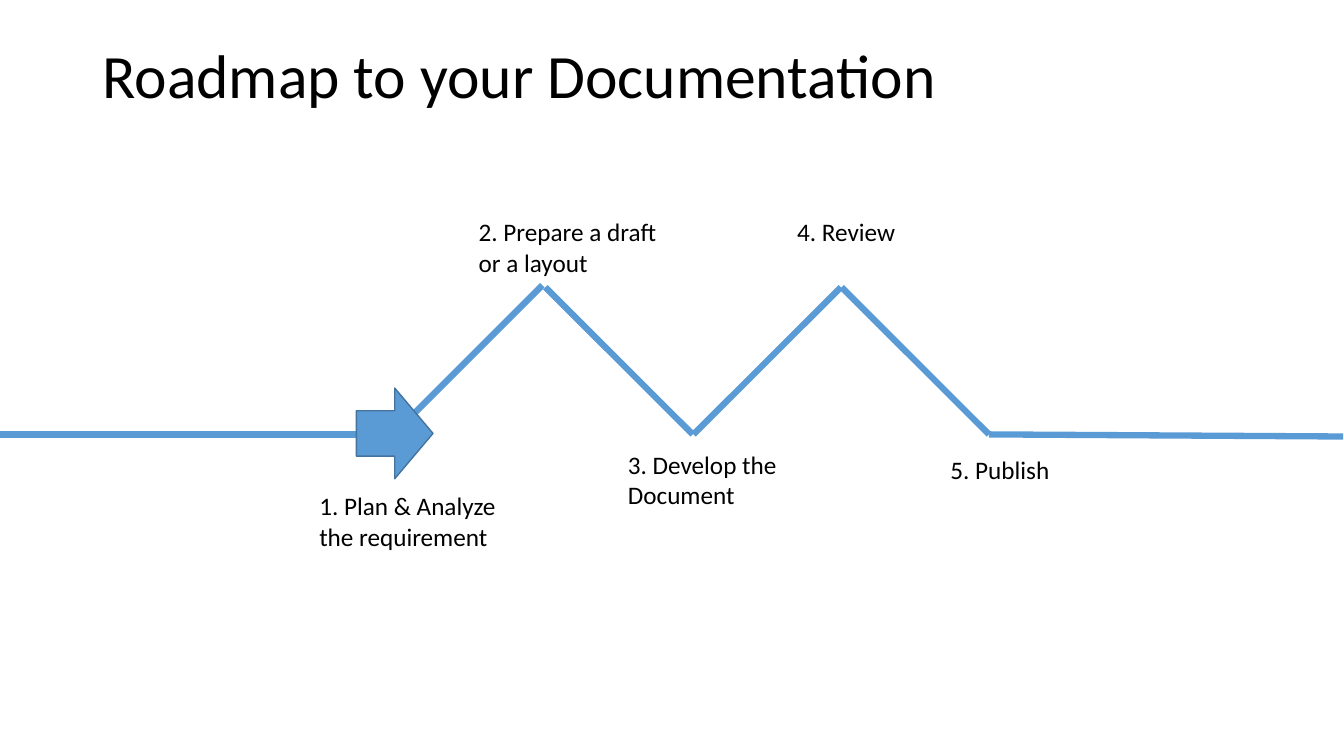
from dataclasses import dataclass

from lxml import etree
from pptx import Presentation
from pptx.dml.color import RGBColor
from pptx.enum.shapes import MSO_CONNECTOR, MSO_SHAPE
from pptx.enum.text import MSO_ANCHOR, MSO_AUTO_SIZE, PP_ALIGN
from pptx.oxml.ns import qn
from pptx.util import Pt

STRAIGHT = MSO_CONNECTOR.STRAIGHT
RIGHT_ARROW = MSO_SHAPE.RIGHT_ARROW
TOP = MSO_ANCHOR.TOP
LEFT = PP_ALIGN.LEFT
NO_AUTO_SIZE, GROW = MSO_AUTO_SIZE.NONE, MSO_AUTO_SIZE.SHAPE_TO_FIT_TEXT


@dataclass(frozen=True)
class Theme:
    font: str = "Calibri"
    title_size: int = 44
    label_size: int = 18
    text: RGBColor = RGBColor(0x00, 0x00, 0x00)
    road: RGBColor = RGBColor(0x5B, 0x9B, 0xD5)
    outline: RGBColor = RGBColor(0x43, 0x73, 0x9E)


theme = Theme()


def set_text(sp, text, size=theme.label_size, spacing=None, wrap=True, auto_size=GROW):
    tf = sp.text_frame
    tf.word_wrap = wrap
    tf.auto_size = auto_size
    tf.vertical_anchor = TOP
    p = tf.paragraphs[0]
    p.alignment = LEFT
    p.line_spacing = spacing
    r = p.add_run()
    r.text = text
    r.font.name = theme.font
    r.font.size = Pt(size)
    r.font.color.rgb = theme.text


prs = Presentation()
prs.slide_width, prs.slide_height = Pt(960), Pt(540)
slide = prs.slides.add_slide(prs.slide_layouts[5])

# Title
title = slide.shapes.title
title.left, title.top, title.width, title.height = Pt(66), Pt(28.75), Pt(828), Pt(104.4)
set_text(title, "Roadmap to your Documentation", size=theme.title_size,
         spacing=0.9, auto_size=NO_AUTO_SIZE)

# Road: straight run-in, two peaks, straight run-out
road = [
    (0, 310.3, 279.4, 310.3),
    (282.2, 309, 387.4, 203.8),
    (494.8, 310.3, 389.6, 205.2),
    (495.4, 310.3, 600.6, 205.2),
    (706.4, 310.3, 601.2, 205.2),
    (706.4, 310.3, 959.4, 311.8),
]
for x1, y1, x2, y2 in road:
    line = slide.shapes.add_connector(STRAIGHT, Pt(x1), Pt(y1), Pt(x2), Pt(y2))
    line.line.color.rgb = theme.road
    line.line.width = Pt(4.5)
    etree.SubElement(line._element.spPr, qn("a:effectLst"))

# Start marker
arrow = slide.shapes.add_shape(RIGHT_ARROW, Pt(254.6), Pt(277.2), Pt(54.7), Pt(64.8))
arrow.shadow.inherit = False
arrow.fill.solid()
arrow.fill.fore_color.rgb = theme.road
arrow.line.color.rgb = theme.outline
arrow.line.width = Pt(1)

# Steps: text, left, top, width, number of lines
steps = [
    ("1. Plan & Analyze the requirement", 221, 347, 146.2, 2),
    ("2. Prepare a draft or a layout", 334.8, 151.2, 146.2, 2),
    ("3. Develop the Document", 441.4, 317.5, 146.2, 2),
    ("4. Review", 562.3, 151.2, 85, 1),
    ("5. Publish", 671.8, 321.1, 85.7, 1),
]
for text, x, y, w, lines in steps:
    box = slide.shapes.add_textbox(Pt(x), Pt(y), Pt(w), Pt(7 + 22 * lines))
    set_text(box, text, wrap=lines > 1)

prs.save("out.pptx")
